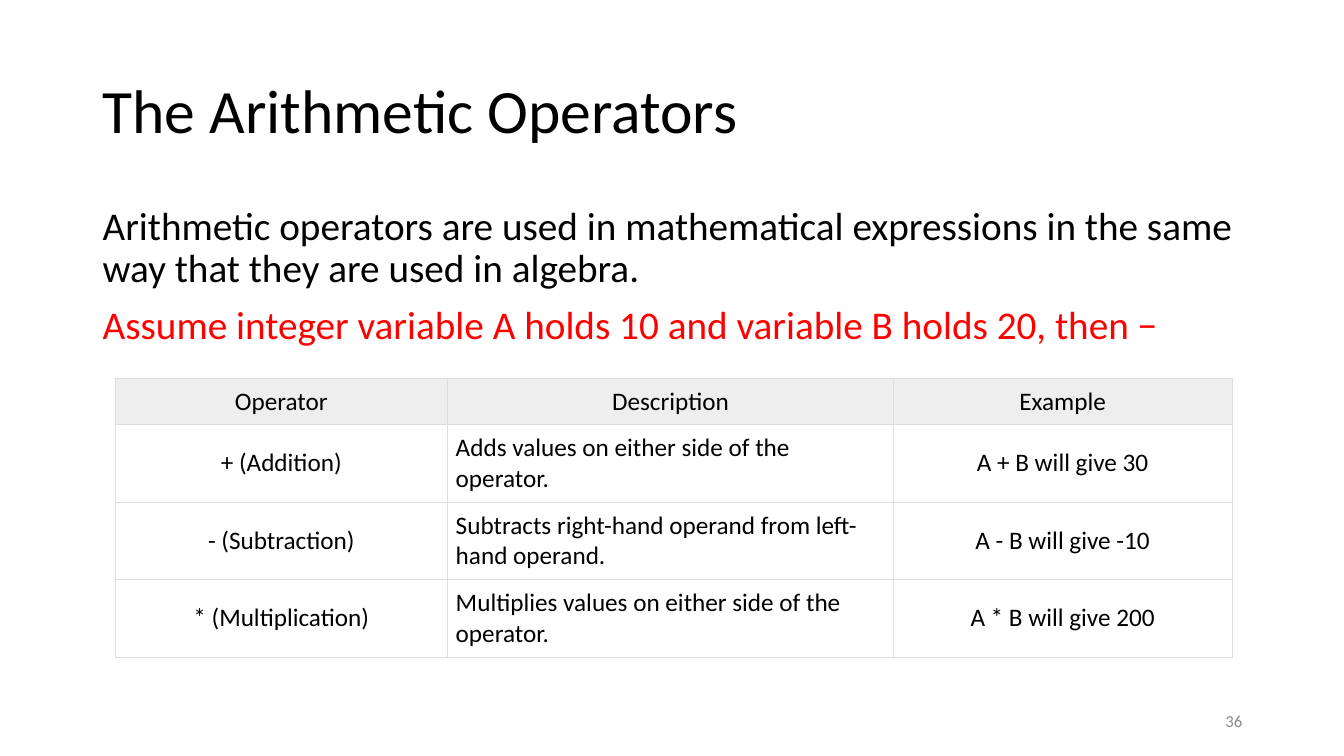
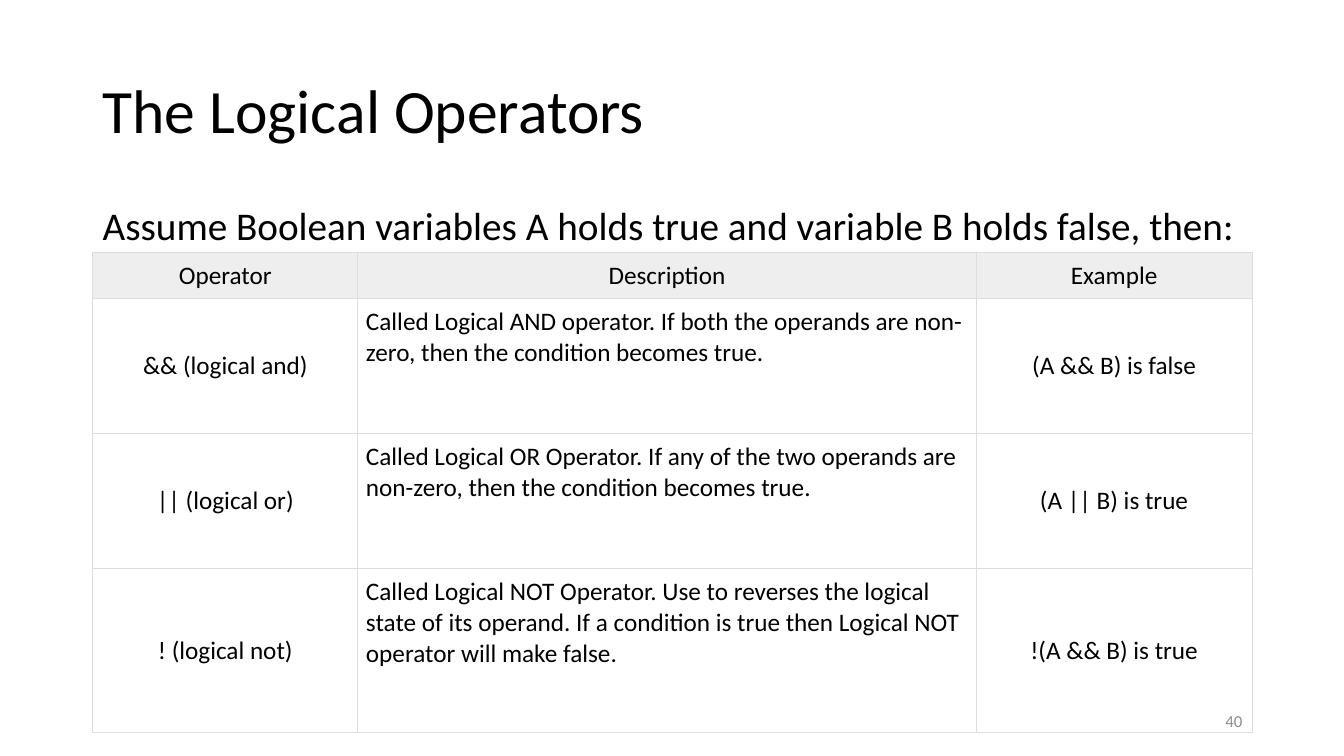
"""Build two slides on programming operators, each with a title, an introduction and a table."""
from dataclasses import dataclass

from lxml.etree import SubElement
from pptx import Presentation
from pptx.dml.color import RGBColor
from pptx.enum.text import MSO_ANCHOR as Anchor, PP_ALIGN as Align
from pptx.oxml.ns import qn
from pptx.util import Inches, Pt


@dataclass(frozen=True)
class Theme:
    font: str = "Calibri"
    ink: str = "000000"
    accent: str = "FF0000"
    muted: str = "8C8C8C"
    header: str = "EEEEEE"
    border: str = "DDDDDD"
    title_size: int = 44
    body_size: int = 28
    cell_size: int = 18
    number_size: int = 12
    border_width: float = 0.75


theme = Theme()


def add_run(paragraph, text, size, color=theme.ink, align=Align.LEFT):
    paragraph.alignment = align
    run = paragraph.add_run()
    run.text = text
    run.font.name = theme.font
    run.font.size = Pt(size)
    run.font.bold = False
    run.font.color.rgb = RGBColor.from_string(color)


def add_frame(slide, left, top, width, height, anchor):
    box = slide.shapes.add_textbox(Inches(left), Inches(top), Inches(width), Inches(height))
    frame = box.text_frame
    frame.word_wrap = True
    frame.vertical_anchor = anchor
    return frame


headings = ("Operator", "Description", "Example")
lessons = [
    dict(
        title="The Arithmetic Operators",
        number="36",
        intro=[
            ("Arithmetic operators are used in mathematical expressions in the same way "
             "that they are used in algebra.", theme.ink),
            ("Assume integer variable A holds 10 and variable B holds 20, then −", theme.accent),
        ],
        corner=(1.14, 3.75),
        widths=(3.3, 4.42, 3.36),
        heights=(0.46, 0.77, 0.77, 0.77),
        operators=[
            ("+ (Addition)", "Adds values on either side of the operator.", "A + B will give 30"),
            ("- (Subtraction)", "Subtracts right-hand operand from left-hand operand.",
             "A - B will give -10"),
            ("* (Multiplication)", "Multiplies values on either side of the operator.",
             "A * B will give 200"),
        ],
    ),
    dict(
        title="The Logical Operators",
        number="40",
        intro=[("Assume Boolean variables A holds true and variable B holds false, then:", theme.ink)],
        corner=(0.92, 2.5),
        widths=(2.63, 6.13, 2.74),
        heights=(0.46, 1.34, 1.34, 1.63),
        operators=[
            ("&& (logical and)",
             "Called Logical AND operator. If both the operands are non-zero, "
             "then the condition becomes true.", "(A && B) is false"),
            ("|| (logical or)",
             "Called Logical OR Operator. If any of the two operands are non-zero, "
             "then the condition becomes true.", "(A || B) is true"),
            ("! (logical not)",
             "Called Logical NOT Operator. Use to reverses the logical state of its operand. "
             "If a condition is true then Logical NOT operator will make false.",
             "!(A && B) is true"),
        ],
    ),
]

deck = Presentation()
deck.slide_width, deck.slide_height = Inches(13.33), Inches(7.5)

for lesson in lessons:
    slide = deck.slides.add_slide(deck.slide_layouts[6])

    title = add_frame(slide, 0.92, 0.4, 11.5, 1.45, Anchor.MIDDLE).paragraphs[0]
    title.line_spacing = 0.9
    add_run(title, lesson["title"], theme.title_size)

    intro = add_frame(slide, 0.92, 2, 11.5, 4.76, Anchor.TOP)
    for index, (sentence, color) in enumerate(lesson["intro"]):
        paragraph = intro.add_paragraph() if index else intro.paragraphs[0]
        paragraph.line_spacing = 0.9
        paragraph.space_before = Pt(10)
        add_run(paragraph, sentence, theme.body_size, color)

    left, top = lesson["corner"]
    widths, heights = lesson["widths"], lesson["heights"]
    operators = slide.shapes.add_table(
        len(heights), len(widths), Inches(left), Inches(top),
        Inches(sum(widths)), Inches(sum(heights))).table
    operators.first_row = operators.horz_banding = False
    for column, width in zip(operators.columns, widths):
        column.width = Inches(width)
    for row, height in zip(operators.rows, heights):
        row.height = Inches(height)

    for row_index, entries in enumerate([headings, *lesson["operators"]]):
        for column_index, entry in enumerate(entries):
            cell = operators.cell(row_index, column_index)
            is_header, is_description = row_index == 0, column_index == 1
            cell.margin_left = cell.margin_right = Inches(0.08)
            cell.margin_top = cell.margin_bottom = Inches(0.08)
            cell.vertical_anchor = Anchor.TOP if is_header or is_description else Anchor.MIDDLE
            align = Align.LEFT if is_description and not is_header else Align.CENTER
            add_run(cell.text_frame.paragraphs[0], entry, theme.cell_size, align=align)

            properties = cell._tc.get_or_add_tcPr()
            for side in ("lnL", "lnR", "lnT", "lnB"):
                edge = SubElement(properties, qn(f"a:{side}"), w=str(Pt(theme.border_width)))
                SubElement(SubElement(edge, qn("a:solidFill")), qn("a:srgbClr"), val=theme.border)
            if is_header:
                cell.fill.solid()
                cell.fill.fore_color.rgb = RGBColor.from_string(theme.header)
            else:
                cell.fill.background()

    number = add_frame(slide, 9.42, 6.95, 3, 0.4, Anchor.MIDDLE).paragraphs[0]
    add_run(number, lesson["number"], theme.number_size, theme.muted, Align.RIGHT)

deck.save("out.pptx")
